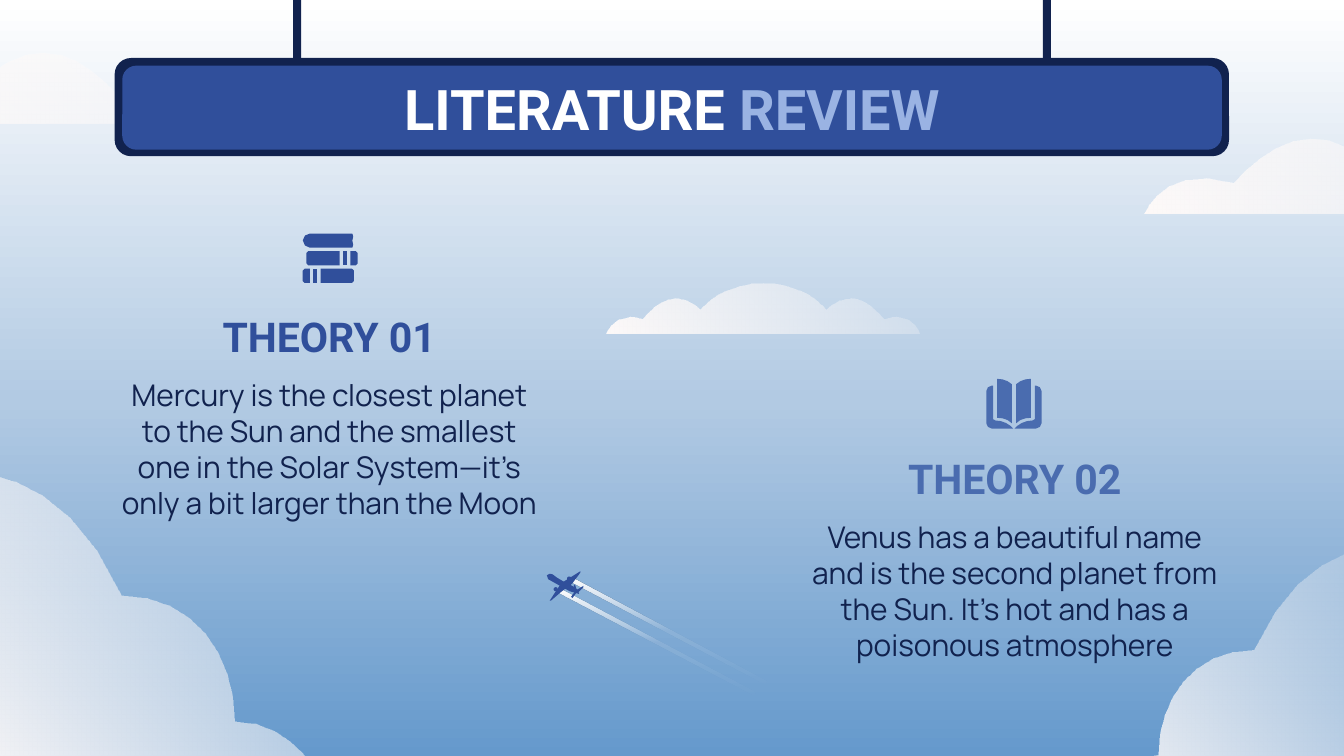
from math import dist, sqrt

from lxml import etree
from pptx import Presentation
from pptx.dml.color import RGBColor
from pptx.enum.shapes import MSO_SHAPE
from pptx.enum.text import MSO_ANCHOR, PP_ALIGN
from pptx.oxml.ns import nsdecls, qn
from pptx.util import Pt

ROUNDED, OVAL = MSO_SHAPE.ROUNDED_RECTANGLE, MSO_SHAPE.OVAL
TOP, MIDDLE = MSO_ANCHOR.TOP, MSO_ANCHOR.MIDDLE
CENTER = PP_ALIGN.CENTER

COLORS = {
    "navy": "11224E", "blue": "304F9B", "steel": "4A6CAF", "pale": "9AB3E3",
    "white": "FFFFFF", "cloud": "FEFAF9", "sky": "6599CC", "haze": "B2CAE3",
}
# Gradient stops: position %, colour, opacity %
SKY = [(0, "sky", 100), (47, "haze", 100), (100, "white", 100)]
CLOUD_FADE = [(0, "cloud", 19), (100, "cloud", 100)]
TRAIL_FADE = [(0, "white", 100), (50, "cloud", 10), (100, "cloud", 0)]

# Corner clouds fill a unit square; all other outlines are in points.
LOW_CLOUD = ("M 0 .15 C 0 .15 .19 0 .41 .63 C .57 .26 .68 .5 .77 .77 "
             "C .95 .61 1 1 1 1 L 0 1 Z")
TALL_CLOUD = ("M 0 .05 C 0 .05 .28 0 .45 .425 C .65 .425 .76 .61 .76 .81 "
              "C .93 .81 1 1 1 1 L 0 1 Z")
LONG_CLOUD = ("M 84 0 C 71.3 0 58.3 4.3 50.4 13.7 C 45.4 9.4 41 7.9 36.7 7.9 "
              "C 30.2 7.9 24.5 13 19.4 18.7 C 17.3 18 15.1 17.3 13 17.3 "
              "C 2.9 17.3 0 26.6 0 26.6 L 168 26.6 C 168 26.6 165.1 17.3 155 17.3 "
              "C 152.9 17.3 150.7 18 148.6 18.7 C 143.5 13 137.8 7.9 131.3 7.9 "
              "C 127 7.9 122.6 9.4 117.6 13.7 C 109.7 4.3 96.7 0 84 0 Z")
TOP_BOOK = ("M 3.6 0 C 2 0 0 1.4 0 3.6 C 0 5.8 2 7.4 3.6 7.4 L 26.6 7.4 "
            "C 27.4 7.4 27.4 6.6 27 5.9 C 26.4 5 26.4 2.4 27 1.5 "
            "C 27.4 .7 27.4 0 26.6 0 Z")
BANDED_BOOK = [
    "M 3 0 C 2.4 0 2 .4 2 1 L 2 6.6 C 2 7.2 2.4 7.6 3 7.6 L 19.8 7.6 L 19.8 0 Z",
    "M 21.6 0 L 21.6 7.6 L 23.7 7.6 L 23.7 0 Z",
    "M 25.6 0 L 25.6 7.6 L 28.4 7.6 C 29 7.6 29.4 7.2 29.4 6.6 "
    "L 29.4 1 C 29.4 .4 29 0 28.4 0 Z",
]
OPEN_BOOK_HALF = [
    "M 11.2 3.6 L 11.2 21.6 C 11.2 22.3 10.7 22.3 9.9 22.3 C 7 22.3 4 23.4 1.8 25.2 "
    "C 1.1 25.9 .4 26.6 .4 26.6 L 11.9 26.6 C 13.4 26.6 14.8 25.2 14.8 23.8 "
    "L 14.8 6.5 C 14.8 5 13.4 3.6 11.9 3.6 Z",
    "M 9 0 C 6.1 0 3.2 .9 1.1 2.9 L 1.1 23.8 C 3.2 21.6 6.1 20.9 9 20.9 Z",
]
TRAIL = "M 117.4 60.5 L 118.1 58.3 L 14.4 3.6 L 13 5.8 Z"
PLANE_PARTS = [
    "M 2.2 1.4 L 3.6 1.6 C 5 2.9 10.8 6.5 13 7.2 C 14.4 7.9 15.8 8.6 17.3 10.1 "
    "L 18 12.2 L 13 10.8 L 1.4 4.3 L .7 2.2 Z",
    "M 7.9 7.2 L 11.5 8.6 L 7.9 11.5 L 2.9 15.8 L 2.2 15.8 Z",
    "M 18.7 0 L 18.7 .7 L 14.4 6.5 L 12.2 8.6 L 9.4 5.8 Z",
    "M 15.8 10.8 L 16.6 11.5 L 14.4 14.4 L 13.7 13.7 Z",
    "M 20.2 7.9 L 20.2 8.6 L 17.3 11.5 L 16.6 10.1 Z",
    "M 15.1 7.2 L 15.8 7.2 L 16.6 10.1 L 15.1 8.6 Z",
    "M 6.5 8.6 L 7.2 9.4 L 6.5 10.1 Z",
    "M 13 2.9 L 14.4 3.6 L 13 4.3 Z",
]


def rgb(color):
    return RGBColor.from_string(COLORS[color])


def set_gradient(fill, holder, stops, angle):
    """Put a linear gradient with opacities into the element that holds fill."""
    fill.background()
    marks = "".join(
        f'<a:gs pos="{pos * 1000}"><a:srgbClr val="{COLORS[color]}">'
        f'<a:alpha val="{opacity * 1000}"/></a:srgbClr></a:gs>'
        for pos, color, opacity in stops)
    gradient = etree.fromstring(
        f'<a:gradFill {nsdecls("a")} rotWithShape="1"><a:gsLst>{marks}</a:gsLst>'
        f'<a:lin ang="{angle * 60000}" scaled="0"/></a:gradFill>')
    holder.replace(holder.find(qn("a:noFill")), gradient)


def finish(shape, color=None, fade=None, angle=0):
    shape.shadow.inherit = False
    shape.line.fill.background()
    if fade:
        set_gradient(shape.fill, shape._element.spPr, fade, angle)
    else:
        shape.fill.solid()
        shape.fill.fore_color.rgb = rgb(color)


def trace(path, left, top, x_scale, y_scale):
    """Place an M/L/C/Z path and list points on it, more of them on longer curves."""
    points = []
    for segment in path.replace("Z", "").replace("L", "|L").replace("C", "|C").split("|"):
        command, *numbers = segment.split()
        values = [float(number) for number in numbers]
        pairs = [(left + x * x_scale, top + y * y_scale)
                 for x, y in zip(values[::2], values[1::2])]
        if command != "C":
            points += pairs
            continue
        curve = [points[-1], *pairs]
        steps = min(8, max(1, round(sqrt(dist(curve[0], curve[3])))))
        for step in range(1, steps + 1):
            t = step / steps
            weights = ((1 - t) ** 3, 3 * t * (1 - t) ** 2, 3 * t * t * (1 - t), t ** 3)
            points.append(tuple(sum(w * point[axis] for w, point in zip(weights, curve))
                                for axis in (0, 1)))
    return points


def add_outline(shapes, path, left, top, x_scale=1, y_scale=1, **paint):
    """Draw a path from (left, top); a negative x_scale mirrors it."""
    start, *rest = [(Pt(x), Pt(y)) for x, y in trace(path, left, top, x_scale, y_scale)]
    builder = shapes.build_freeform(*start)
    builder.add_line_segments(rest, close=True)
    finish(builder.convert_to_shape(), **paint)


def add_preset(shapes, kind, box, color):
    finish(shapes.add_shape(kind, *map(Pt, box)), color)


def add_text(slide, box, runs, size, font, bold=False, anchor=MIDDLE, spacing=None):
    frame = slide.shapes.add_textbox(*map(Pt, box)).text_frame
    frame.word_wrap = True
    frame.vertical_anchor = anchor
    frame.margin_left = frame.margin_right = Pt(7.2)
    frame.margin_top = frame.margin_bottom = Pt(7.2)
    paragraph = frame.paragraphs[0]
    paragraph.alignment = CENTER
    if spacing:
        paragraph.line_spacing = Pt(spacing)
    paragraph.font.size, paragraph.font.name, paragraph.font.bold = Pt(size), font, bold
    for words, color in runs:
        run = paragraph.add_run()
        run.text = words
        run.font.color.rgb = rgb(color)


def add_sign(slide):
    sign = slide.shapes.add_group_shape().shapes
    add_preset(sign, ROUNDED, (61.4, 31.1, 597, 52.6), "navy")
    add_preset(sign, ROUNDED, (65.5, 35.2, 589, 45), "blue")
    for rod_left in (558.7, 157):
        add_preset(sign, ROUNDED, (rod_left, -19.4, 4.3, 52.6), "navy")


def add_theory(slide, left, top, heading, color, body):
    add_text(slide, (left, top, 240.5, 38.9), [(heading, color)], 22, "Roboto", bold=True)
    add_text(slide, (left, top + 33.8, 240.5, 87.8), [(body, "navy")], 16, "Manrope",
             anchor=TOP, spacing=19.3)


def add_book_stack(slide, left, top):
    stack = slide.shapes.add_group_shape().shapes
    add_outline(stack, TOP_BOOK, left, top, color="blue")
    for part in BANDED_BOOK:
        add_outline(stack, part, left, top + 9.4, color="blue")
        add_outline(stack, part, left + 29.4, top + 18.8, -1, color="blue")


def add_open_book(slide, spine, top):
    book = slide.shapes.add_group_shape().shapes
    for part in OPEN_BOOK_HALF:
        for side in (1, -1):
            add_outline(book, part, spine, top, side, color="steel")


def add_plane(slide, left, top):
    plane = slide.shapes.add_group_shape().shapes
    for shift_x, shift_y in ((0, 0), (-5.6, 6.1)):
        add_outline(plane, TRAIL, left + shift_x, top + shift_y, fade=TRAIL_FADE, angle=90)
    for part in PLANE_PARTS:
        add_outline(plane, part, left, top, color="blue")
    for engine_x, engine_y in ((4.3, 8.6), (11.5, 2.9)):
        add_preset(plane, OVAL, (left + engine_x, top + engine_y, 2.2, 2.2), "blue")


def main():
    deck = Presentation()
    deck.slide_width, deck.slide_height = Pt(720), Pt(405)
    slide = deck.slides.add_slide(deck.slide_layouts[6])
    sky = slide.background.fill
    sky.background()
    set_gradient(sky, slide._element.find(".//" + qn("p:bgPr")), SKY, 270)

    for path, *place in (
        (LOW_CLOUD, -87.8, -2.2, 195, 68.4),
        (TALL_CLOUD, -23, 244.8, 195, 174.2),
        (TALL_CLOUD, 746, 285.8, -165, 146.2),
        (LOW_CLOUD, 820, 42.5, -206.6, 72),
        (LONG_CLOUD, 324.7, 151.9),
    ):
        add_outline(slide.shapes, path, *place, fade=CLOUD_FADE, angle=135)

    add_sign(slide)
    add_text(slide, (42.5, 35.3, 635, 45.4),
             [("LITERATURE", "white"), (" REVIEW", "pale")], 30, "Roboto", bold=True)
    add_theory(slide, 56.2, 160.6, "THEORY 01", "blue",
               "Mercury is the closest planet to the Sun and the smallest one "
               "in the Solar System—it’s only a bit larger than the Moon")
    add_theory(slide, 423.4, 236.9, "THEORY 02", "steel",
               "Venus has a beautiful name and is the second planet from the Sun. "
               "It’s hot and has a poisonous atmosphere")
    add_book_stack(slide, 162.2, 125.2)
    add_open_book(slide, 543.2, 203)
    add_plane(slide, 292.3, 306)
    deck.save("out.pptx")


if __name__ == "__main__":
    main()
